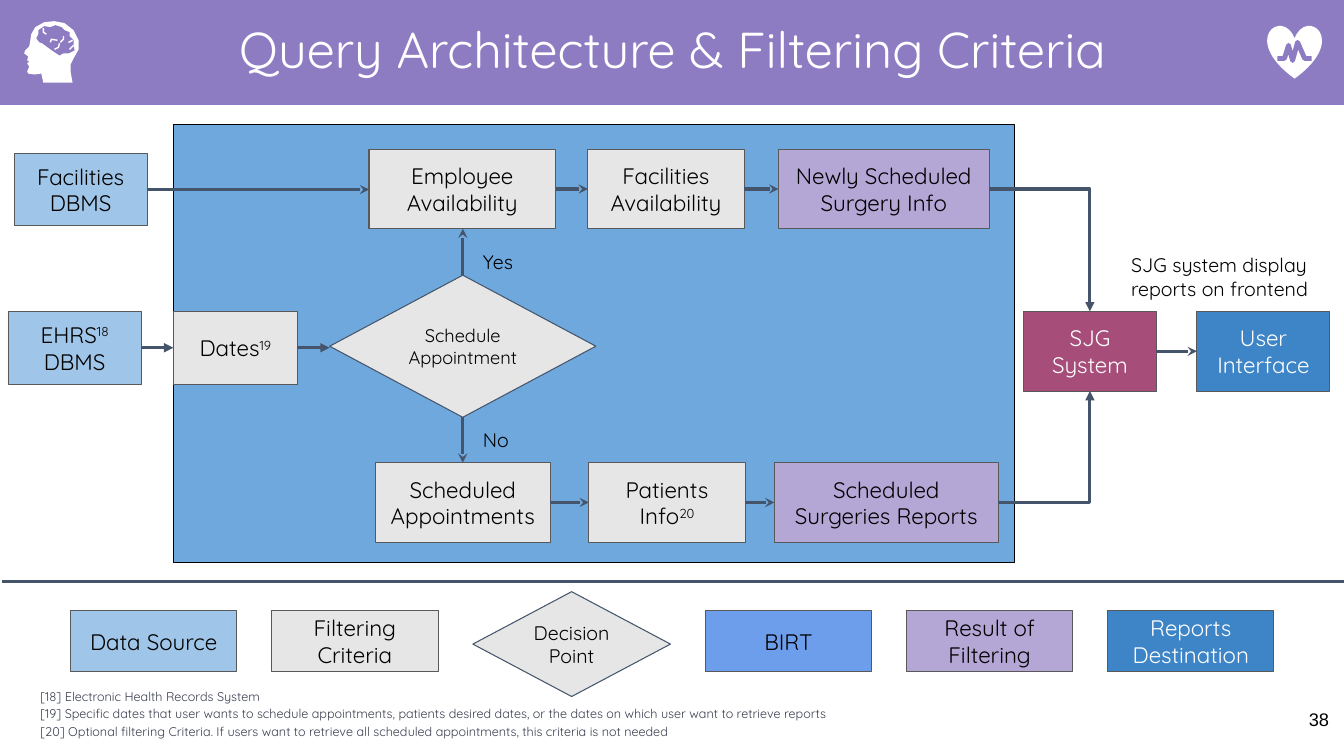
import pptx
import pptx.dml.color
import pptx.enum.shapes
import pptx.enum.text
import pptx.oxml
import pptx.oxml.ns
import pptx.util

Inches = pptx.util.Inches
Pt = pptx.util.Pt
SHAPE = pptx.enum.shapes.MSO_SHAPE
CONNECTOR = pptx.enum.shapes.MSO_CONNECTOR
ALIGN = pptx.enum.text.PP_ALIGN
ANCHOR = pptx.enum.text.MSO_ANCHOR

COLORS = {
    "band": "8E7CC3", "white": "FFFFFF", "black": "000000", "panel": "6FA8DC",
    "source": "9FC5E8", "filter": "E7E6E6", "result": "B4A7D6", "birt": "6D9EEB",
    "destination": "3D85C6", "system": "A64D79", "border": "595959",
    "arrow": "44546A", "note": "3A3F50",
}
WHITE_TEXT = ("destination", "system")

HEAD = [(30, 0), (40, 2), (49, 9), (54, 19), (54, 28), (49, 37), (46, 43), (46, 50),
        (48, 61), (19, 61), (17, 52), (10, 53), (4, 52), (3, 50), (5, 45), (3, 42),
        (5, 40), (3, 39), (4, 35), (0, 32), (1, 29), (5, 25), (6, 20), (7, 13),
        (11, 6), (20, 1)]
BRAIN = [(20, 5), (26, 6), (31, 4), (37, 6), (40, 9), (45, 11), (45, 15), (49, 19),
         (49, 24), (50, 29), (44, 32), (39, 32), (35, 34), (32, 32), (26, 28),
         (22, 25), (18, 22), (15, 21), (12, 17), (14, 13), (14, 9)]
FOLDS = [[(19, 7), (19, 11), (22, 13)], [(26, 21), (27, 18), (33, 19)],
         [(36, 21), (39, 18), (39, 15)], [(30, 28), (34, 26), (35, 22)],
         [(44, 21), (48, 19)], [(45, 28), (49, 24)]]
PULSE = [(10, 33), (17, 33), (21, 20), (25, 35), (30, 17), (37, 33), (44, 33)]


def rgb(name):
    return pptx.dml.color.RGBColor.from_string(COLORS[name])


def paint(shape, fill=None, line=None, width=0.75):
    shape.shadow.inherit = False
    for part, color in ((shape.fill, fill), (shape.line.fill, line)):
        if color:
            part.solid()
            part.fore_color.rgb = rgb(color)
        else:
            part.background()
    if line:
        shape.line.width = Pt(width)


def write(shape, text, size, color="black", align=ALIGN.CENTER, anchor=ANCHOR.MIDDLE,
          inset=0.1, font="Quicksand", spacing=None):
    """Fill a shape with lines of text; what follows ^ in a line is superscript."""
    frame = shape.text_frame
    frame.word_wrap = True
    frame.vertical_anchor = anchor
    frame.margin_left = frame.margin_right = Inches(inset)
    frame.margin_top = frame.margin_bottom = Inches(inset)
    for index, line in enumerate(text.split("\n")):
        para = frame.add_paragraph() if index else frame.paragraphs[0]
        base, _, raised = line.partition("^")
        para.text = base
        if raised:
            para.add_run().text = raised
            para.runs[1].font._element.set("baseline", "30000")
        para.alignment = align
        para.line_spacing = spacing
        for span in para.runs:
            span.font.size = Pt(size)
            span.font.name = font
            span.font.color.rgb = rgb(color)


def add_block(page, kind, box, fill):
    return page.shapes.add_shape(kind, *map(Inches, box))


def add_node(page, box, text, role):
    node = add_block(page, SHAPE.RECTANGLE, box, role)
    paint(node, role, "border")
    write(node, text, 16, "white" if role in WHITE_TEXT else "black", inset=0.13)
    return node


def add_decision(page, box, text, size):
    node = add_block(page, SHAPE.DIAMOND, box, "filter")
    paint(node, "filter", "arrow")
    write(node, text, size)
    return node


def add_label(page, box, text, size, **style):
    label = page.shapes.add_textbox(*map(Inches, box))
    write(label, text, size, **style)


def add_outline(page, left, top, points, closed=True, **style):
    """Draw points given in hundredths of an inch from left and top."""
    builder = page.shapes.build_freeform(*points[0], scale=Inches(0.01))
    builder.add_line_segments(points[1:], close=closed)
    paint(builder.convert_to_shape(Inches(left), Inches(top)), **style)


def add_line(page, start, end, arrow=None, kind=CONNECTOR.STRAIGHT):
    line = page.shapes.add_connector(kind, *start, *end)
    line.line.color.rgb = rgb("arrow")
    line.line.width = Pt(2.25)
    properties = line._element.spPr
    if arrow:
        tail = pptx.oxml.parse_xml(
            f'<a:tailEnd {pptx.oxml.ns.nsdecls("a")} type="{arrow}"/>')
        line.line._get_or_add_ln().append(tail)
    if kind == CONNECTOR.ELBOW:
        properties.find(pptx.oxml.ns.qn("a:prstGeom")).set("prst", "bentConnector2")
    properties.append(pptx.oxml.parse_xml(
        f'<a:effectLst {pptx.oxml.ns.nsdecls("a")}/>'))


def middle(shape):
    return shape.left + shape.width // 2, shape.top + shape.height // 2


def link_right(page, first, second, arrow="stealth"):
    level = middle(first)[1]
    add_line(page, (first.left + first.width, level), (second.left, level), arrow)


def build_header(page, box):
    left, top, width, height = box
    band = add_block(page, SHAPE.RECTANGLE, box, "band")
    paint(band, "band")
    title = page.shapes.title
    title._element.addprevious(band._element)
    title.left, title.top = Inches(left + 0.34), Inches(top + 0.12)
    title.width, title.height = Inches(width - 0.67), Inches(height - 0.25)
    write(title, "Query Architecture & Filtering Criteria", 36, "white", spacing=0.9)
    title.text_frame.auto_size = pptx.enum.text.MSO_AUTO_SIZE.NONE

    head = (left + 0.24, top + 0.21)
    add_outline(page, *head, HEAD, fill="white")
    add_outline(page, *head, BRAIN, fill="band")
    for fold in FOLDS:
        add_outline(page, *head, fold, closed=False, line="white", width=1)

    heart = (left + width - 0.76, top + 0.25)
    paint(add_block(page, SHAPE.HEART, (*heart, 0.54, 0.53), "white"), "white")
    add_outline(page, *heart, PULSE, closed=False, line="band", width=3.5)


def build_flow(page, box):
    left, top, width, height = box
    panel = add_block(page, SHAPE.RECTANGLE, (left + 1.72, top, 8.34, height), "panel")
    paint(panel, "panel", "black")

    def node(x, y, w, h, text, role):
        return add_node(page, (left + x, top + y, w, h), text, role)

    upper, centre, lower, tall, short = 0.24, 1.85, 3.35, 0.79, 0.72
    upper_row = [
        node(0.14, 0.28, 1.32, short, "Facilities\nDBMS", "source"),
        node(3.66, upper, 1.85, tall, "Employee Availability", "filter"),
        node(5.83, upper, 1.55, tall, "Facilities Availability", "filter"),
        node(7.72, upper, 2.09, tall, "Newly Scheduled\nSurgery Info", "result")]
    decision = add_decision(page, (left + 3.27, top + 1.49, 2.64, 1.41),
                            "Schedule\nAppointment", 13)
    centre_row = [
        node(0.08, centre, 1.32, short, "EHRS^18\nDBMS", "source"),
        node(1.72, centre, 1.23, short, "Dates^19", "filter"),
        decision]
    lower_row = [
        node(3.72, lower, 1.74, tall, "Scheduled\nAppointments", "filter"),
        node(5.84, lower, 1.55, tall, "Patients\nInfo^20", "filter"),
        node(7.68, lower, 2.22, tall, "Scheduled\nSurgeries Reports", "result")]
    system = node(10.15, centre, 1.32, tall, "SJG\nSystem", "system")
    interface = node(11.87, centre, 1.32, tall, "User\nInterface", "destination")

    for row, arrow in ((upper_row, "stealth"), (centre_row, "triangle"),
                       (lower_row, "stealth"), ([system, interface], "stealth")):
        for first, second in zip(row, row[1:]):
            link_right(page, first, second, arrow)

    axis = middle(decision)[0]
    employee, scheduled = upper_row[1], lower_row[0]
    add_line(page, (axis, decision.top), (axis, employee.top + employee.height), "stealth")
    add_line(page, (axis, decision.top + decision.height), (axis, scheduled.top), "stealth")
    for result, edge in ((upper_row[-1], system.top),
                         (lower_row[-1], system.top + system.height)):
        add_line(page, (result.left + result.width, middle(result)[1]),
                 (middle(system)[0], edge), "triangle", CONNECTOR.ELBOW)

    for x, y, w, h, text in ((4.69, 1.14, 0.67, 0.43, "Yes"),
                             (4.69, 2.91, 0.6, 0.43, "No"),
                             (11.12, 1.17, 2.2, 0.61,
                              "SJG system display reports on frontend")):
        add_label(page, (left + x, top + y, w, h), text, 14,
                  align=ALIGN.LEFT, anchor=ANCHOR.TOP)


def build_legend(page, box):
    left, top, width, height = box
    add_line(page, (Inches(left), Inches(top)), (Inches(left + width), Inches(top)))
    x, gap = left + 0.68, 0.345
    for text, role in (("Data Source", "source"), ("Filtering Criteria", "filter"),
                       ("Decision Point", None), ("BIRT", "birt"),
                       ("Result of Filtering", "result"),
                       ("Reports\nDestination", "destination")):
        if role:
            item = (x, top + 0.29, 1.65, 0.6)
            add_node(page, item, text, role)
        else:
            item = (x, top + 0.1, 1.96, height - 0.1)
            add_decision(page, item, text, 14)
        x += item[2] + gap


def build_footer(page, box):
    left, top, width, height = box
    notes = "\n".join((
        "[18] Electronic Health Records System",
        "[19] Specific dates that user wants to schedule appointments, patients "
        "desired dates, or the dates on which user want to retrieve reports",
        "[20] Optional filtering Criteria. If users want to retrieve all scheduled "
        "appointments, this criteria is not needed"))
    add_label(page, (left, top, width - 0.22, height - 0.07), notes, 9, color="note",
              align=ALIGN.LEFT, anchor=ANCHOR.BOTTOM, spacing=1.15)
    add_label(page, (left + width - 0.8, top + 0.29, 0.8, 0.57), "38", 13,
              align=ALIGN.RIGHT, anchor=ANCHOR.TOP, font="Arial")


def main():
    deck = pptx.Presentation()
    deck.slide_width, deck.slide_height = Inches(13.33), Inches(7.5)
    page = deck.slides.add_slide(deck.slide_layouts[5])
    build_header(page, (0, 0, 13.33, 1.04))
    build_flow(page, (0, 1.24, 13.33, 4.34))
    build_legend(page, (0.02, 5.77, 13.31, 1.14))
    build_footer(page, (0.3, 6.64, 12.98, 0.86))
    deck.save("out.pptx")


if __name__ == "__main__":
    main()
